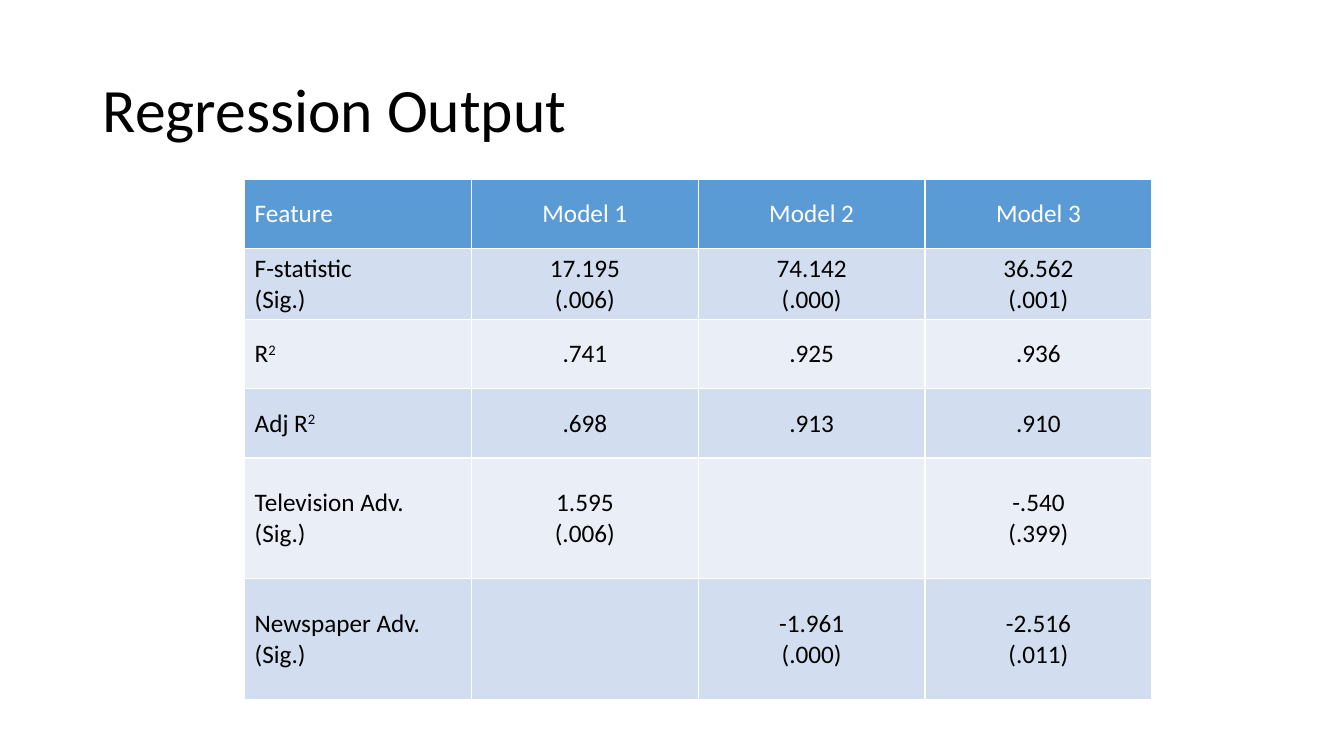
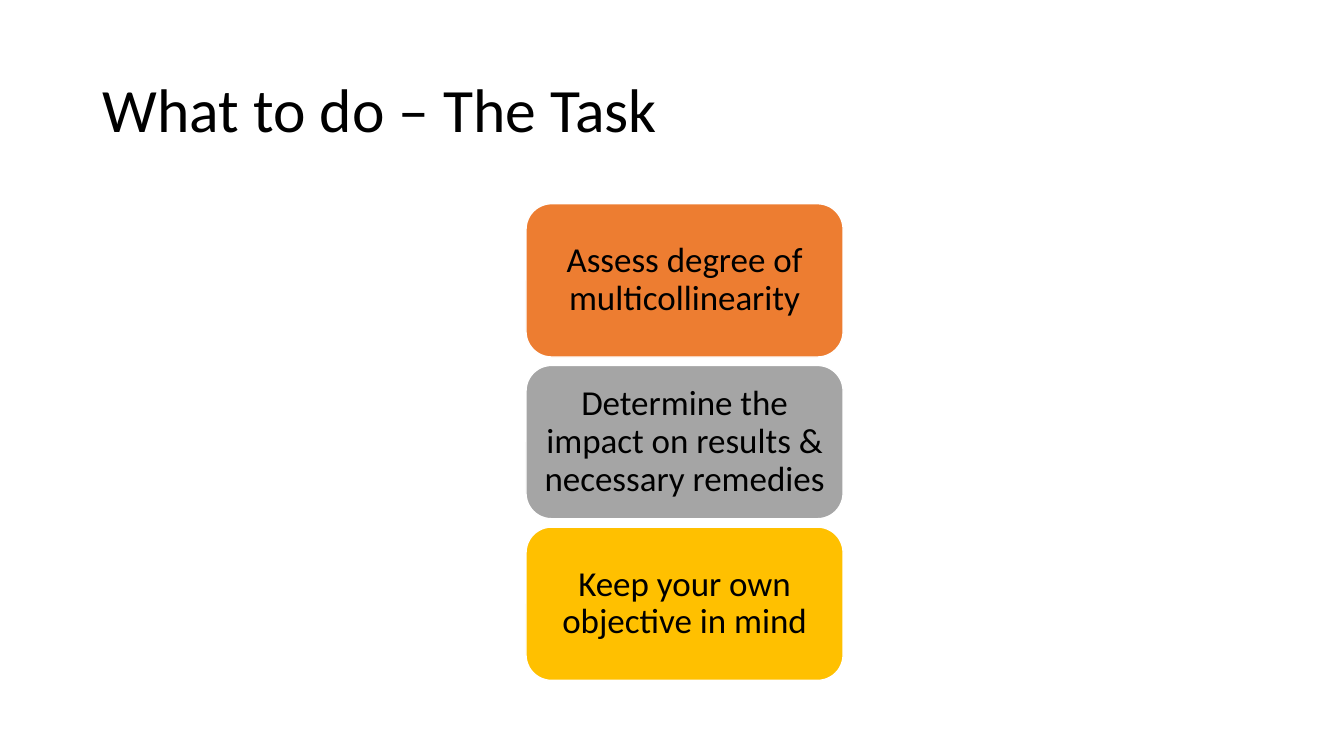
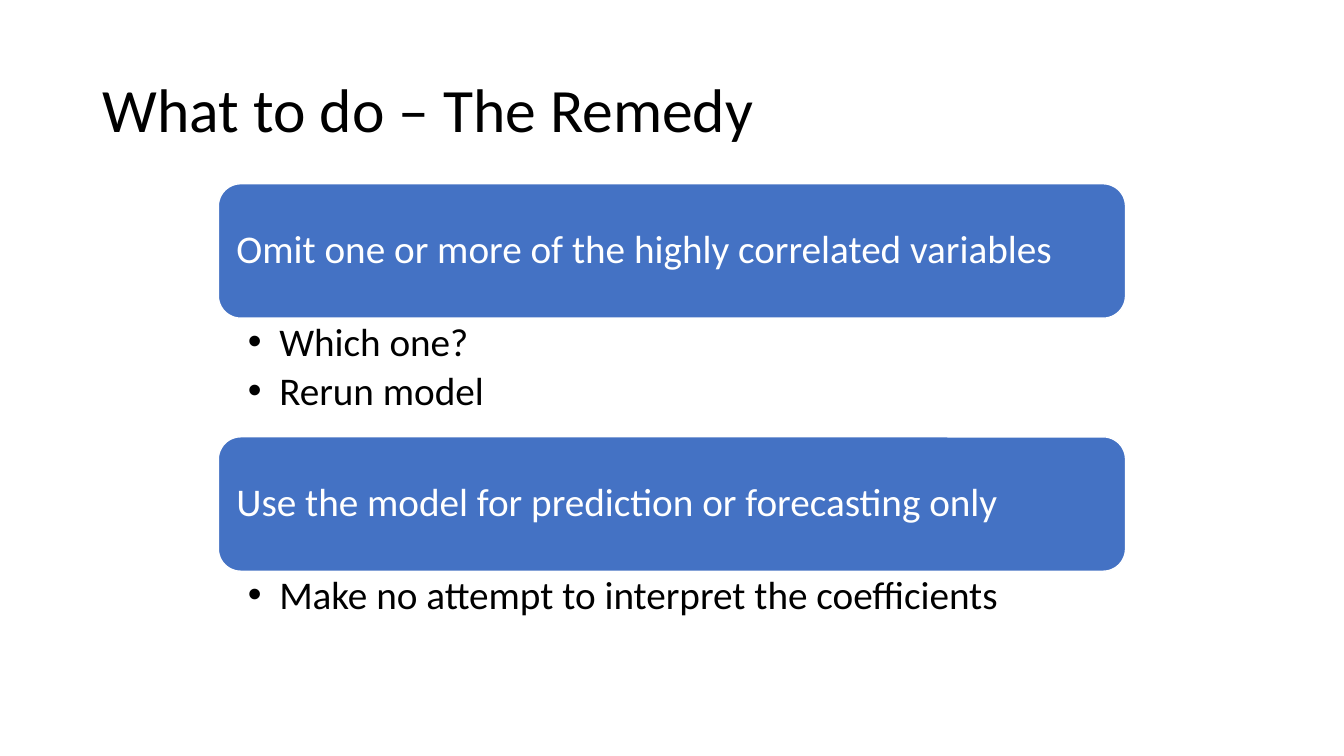
from dataclasses import dataclass

from lxml.etree import SubElement
from pptx import Presentation
from pptx.dml.color import RGBColor
from pptx.enum.shapes import MSO_SHAPE
from pptx.enum.text import MSO_ANCHOR, PP_ALIGN
from pptx.oxml.ns import qn
from pptx.util import Emu, Pt

FONT = "Calibri"
COLORS = {
    "black": "000000",
    "white": "FFFFFF",
    "header": "5B9BD5",
    "band_dark": "D2DEEF",
    "band_light": "EAEFF7",
    "orange": "ED7D31",
    "gray": "A5A5A5",
    "gold": "FFC000",
    "blue": "4472C4",
}


def px(n: int) -> Emu:
    return Emu(n * 9525)


def rgb(name: str) -> RGBColor:
    return RGBColor.from_string(COLORS[name])


@dataclass(frozen=True)
class Box:
    x: int
    y: int
    w: int
    h: int

    def emu(self) -> tuple[Emu, ...]:
        return tuple(px(n) for n in (self.x, self.y, self.w, self.h))


@dataclass(frozen=True)
class Style:
    size: int
    color: str = "black"
    align: PP_ALIGN = PP_ALIGN.LEFT
    spacing: float = 0.9


@dataclass(frozen=True)
class Run:
    text: str
    superscript: bool = False


@dataclass(frozen=True)
class TableRow:
    height: int
    label: tuple[tuple[Run, ...], ...]
    values: tuple[str, ...]


@dataclass(frozen=True)
class Task:
    text: str
    fill: str


@dataclass(frozen=True)
class Remedy:
    text: str
    steps: tuple[str, ...]


TITLE_BOX = Box(88, 38, 1104, 139)
TITLE = Style(44)
CARD = Style(25, align=PP_ALIGN.CENTER)
REMEDY = Style(28, "white")
STEP = Style(28)

SIG = (Run("(Sig.)"),)
SQUARED = Run("2", superscript=True)
ROWS = (
    TableRow(66, ((Run("Feature"),),), ("Model 1", "Model 2", "Model 3")),
    TableRow(66, ((Run("F-statistic"),), SIG),
             ("17.195\n(.006)", "74.142\n(.000)", "36.562\n(.001)")),
    TableRow(66, ((Run("R"), SQUARED),), (".741", ".925", ".936")),
    TableRow(66, ((Run("Adj R"), SQUARED),), (".698", ".913", ".910")),
    TableRow(115, ((Run("Television Adv."),), SIG),
             ("1.595\n(.006)", "", "-.540\n(.399)")),
    TableRow(115, ((Run("Newspaper Adv."),), SIG),
             ("", "-1.961\n(.000)", "-2.516\n(.011)")),
)
TASKS = (
    Task("Assess degree of multicollinearity", "orange"),
    Task("Determine the impact on results & necessary remedies", "gray"),
    Task("Keep your own objective in mind", "gold"),
)
REMEDIES = (
    Remedy("Omit one or more of the highly correlated variables",
           ("Which one?", "Rerun model")),
    Remedy("Use the model for prediction or forecasting only",
           ("Make no attempt to interpret the coefficients",)),
)


def lines(text: str) -> tuple[tuple[Run, ...], ...]:
    return tuple((Run(line),) for line in text.split("\n"))


def write(tf, paragraphs, style: Style) -> None:
    for i, runs in enumerate(paragraphs):
        p = tf.add_paragraph() if i else tf.paragraphs[0]
        p.alignment = style.align
        p.line_spacing = style.spacing
        for run in runs:
            r = p.add_run()
            r.text = run.text
            r.font.name = FONT
            r.font.size = Pt(style.size)
            r.font.bold = False
            r.font.color.rgb = rgb(style.color)
            if run.superscript:
                r._r.get_or_add_rPr().set("baseline", "30000")


def set_frame(tf, anchor: MSO_ANCHOR, left: int, top: int, right: int, bottom: int) -> None:
    tf.word_wrap = True
    tf.vertical_anchor = anchor
    tf.margin_left, tf.margin_top = px(left), px(top)
    tf.margin_right, tf.margin_bottom = px(right), px(bottom)


def add_slide(prs, title: str):
    s = prs.slides.add_slide(prs.slide_layouts[6])
    tf = s.shapes.add_textbox(*TITLE_BOX.emu()).text_frame
    set_frame(tf, MSO_ANCHOR.MIDDLE, 10, 5, 10, 5)
    write(tf, lines(title), TITLE)
    return s


def add_card(s, box: Box, text: str, fill: str, style: Style, inset: tuple[int, int]) -> None:
    sp = s.shapes.add_shape(MSO_SHAPE.ROUNDED_RECTANGLE, *box.emu())
    sp.shadow.inherit = False
    sp.fill.solid()
    sp.fill.fore_color.rgb = rgb(fill)
    sp.line.color.rgb = rgb("white")
    sp.line.width = Pt(1)
    set_frame(sp.text_frame, MSO_ANCHOR.MIDDLE, *inset, *inset)
    write(sp.text_frame, lines(text), style)


def add_bullets(s, box: Box, items: tuple[str, ...]) -> None:
    tf = s.shapes.add_textbox(*box.emu()).text_frame
    set_frame(tf, MSO_ANCHOR.TOP, 28, 4, 21, 4)
    write(tf, [(Run(item),) for item in items], STEP)
    for p in tf.paragraphs:
        p.space_after = Pt(5)
        pPr = p._p.get_or_add_pPr()
        pPr.set("marL", str(px(30)))
        pPr.set("indent", str(-px(30)))
        SubElement(pPr, qn("a:buFont")).set("typeface", "Arial")
        SubElement(pPr, qn("a:buChar")).set("char", "•")


def add_regression_table(s) -> None:
    box = Box(233, 171, 864, sum(row.height for row in ROWS))
    columns = 1 + len(ROWS[0].values)
    table = s.shapes.add_table(len(ROWS), columns, *box.emu()).table
    for column in table.columns:
        column.width = px(box.w // columns)
    for i, row in enumerate(ROWS):
        table.rows[i].height = px(row.height)
        fill = "header" if i == 0 else ("band_light", "band_dark")[i % 2]
        color = "white" if i == 0 else "black"
        contents = (row.label, *(lines(value) if value else () for value in row.values))
        for j, paragraphs in enumerate(contents):
            cell = table.cell(i, j)
            cell.fill.solid()
            cell.fill.fore_color.rgb = rgb(fill)
            cell.vertical_anchor = MSO_ANCHOR.MIDDLE
            align = PP_ALIGN.CENTER if j else PP_ALIGN.LEFT
            write(cell.text_frame, paragraphs, Style(18, color, align, 1.0))


def add_tasks(s) -> None:
    height, gap = 146, 8
    for i, task in enumerate(TASKS):
        box = Box(501, 194 + i * (height + gap), 302, height)
        add_card(s, box, task.text, task.fill, CARD, (10, 5))


def add_remedies(s) -> None:
    x, width, card_height, steps_height = 208, 864, 128, 113
    for i, remedy in enumerate(REMEDIES):
        y = 175 + i * (card_height + steps_height)
        add_card(s, Box(x, y, width, card_height), remedy.text, "blue", REMEDY, (11, 11))
        add_bullets(s, Box(x, y + card_height, width, steps_height), remedy.steps)


def main() -> None:
    prs = Presentation()
    prs.slide_width, prs.slide_height = px(1280), px(720)
    add_regression_table(add_slide(prs, "Regression Output"))
    add_tasks(add_slide(prs, "What to do – The Task"))
    add_remedies(add_slide(prs, "What to do – The Remedy"))
    prs.save("out.pptx")


if __name__ == "__main__":
    main()
